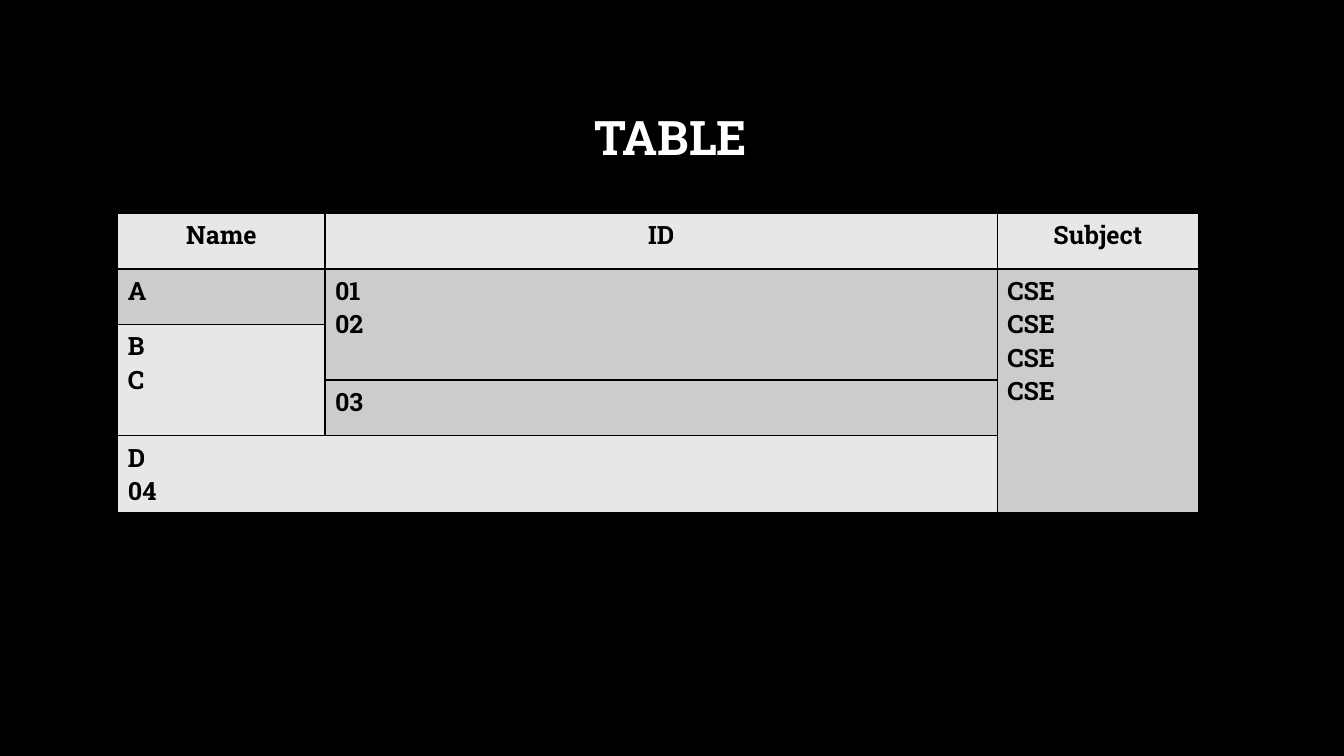
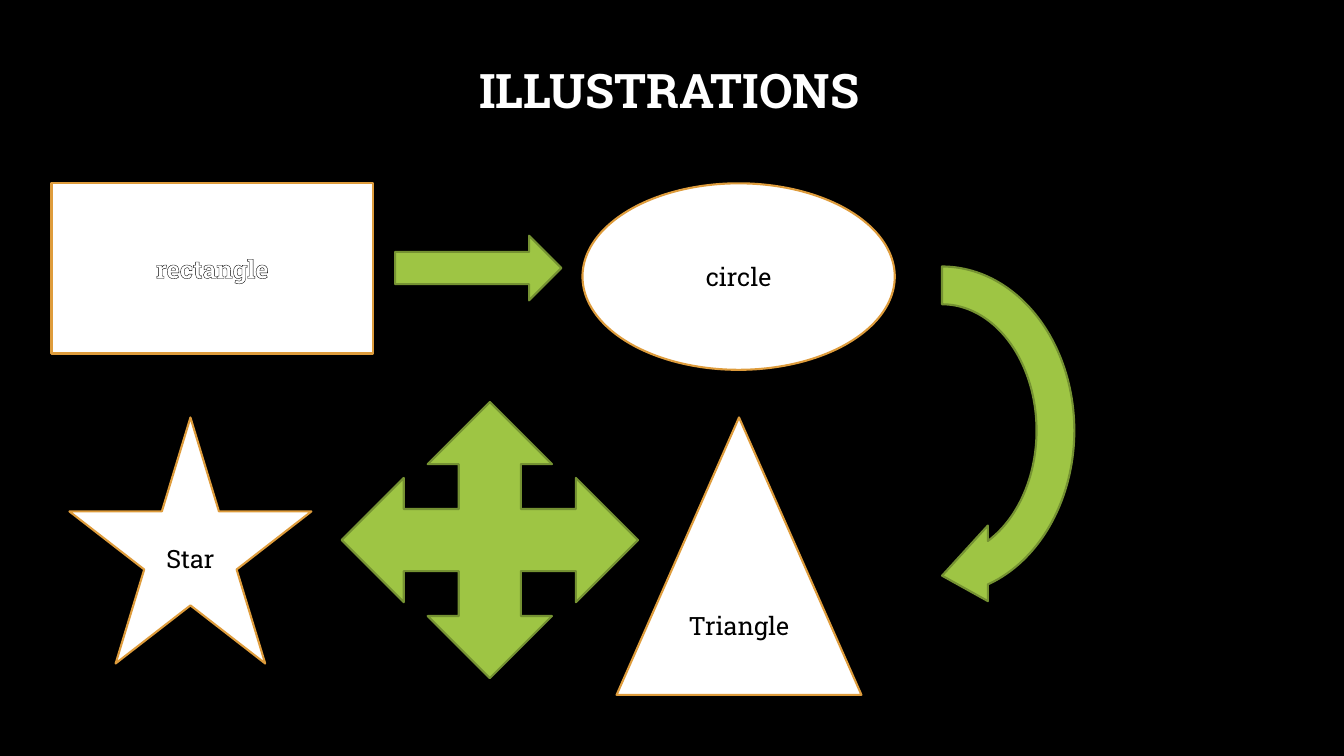
from lxml import etree
from pptx import Presentation
from pptx.dml.color import RGBColor
from pptx.enum import shapes, text
from pptx.oxml import ns
from pptx.util import Cm, Pt

FONT = "Roboto Slab"
BLACK = RGBColor(0x00, 0x00, 0x00)
WHITE = RGBColor(0xFF, 0xFF, 0xFF)
PALE = RGBColor(0xE7, 0xE7, 0xE7)
GREY = RGBColor(0xCC, 0xCC, 0xCC)
GREEN = RGBColor(0x9E, 0xC5, 0x44)
OLIVE = RGBColor(0x75, 0x92, 0x32)
AMBER = RGBColor(0xDE, 0x9C, 0x3C)

KIND = shapes.MSO_SHAPE
CENTER = text.PP_ALIGN.CENTER
MIDDLE = text.MSO_ANCHOR.MIDDLE
NO_STYLE = "{2D5ABB26-0587-4C30-8999-92F81FD0307C}"

WIDTHS = (5.22, 16.94, 5.08)
HEIGHTS = (1.4, 1.4, 1.4, 1.4, 1.94)
# row, column, rows spanned, columns spanned, words, fill
CELLS = (
    (0, 0, 1, 1, "Name", PALE),
    (0, 1, 1, 1, "ID", PALE),
    (0, 2, 1, 1, "Subject", PALE),
    (1, 0, 1, 1, "A", GREY),
    (1, 1, 2, 1, "01\n02", GREY),
    (1, 2, 4, 1, "CSE\nCSE\nCSE\nCSE", GREY),
    (2, 0, 2, 1, "B\nC", PALE),
    (3, 1, 1, 1, "03", GREY),
    (4, 0, 1, 2, "D\n04", PALE),
)

# kind, place within the drawing, words
FIGURES = (
    (KIND.RECTANGLE, (0, 0, 8.1, 4.29), "rectangle"),
    (KIND.RIGHT_ARROW, (8.66, 1.32, 4.19, 1.63), ""),
    (KIND.OVAL, (13.38, 0, 7.87, 4.7), "circle"),
    (KIND.ISOSCELES_TRIANGLE, (14.24, 5.9, 6.17, 6.99), "Triangle"),
    (KIND.CIRCULAR_ARROW, (17.83, 2.42, 9.22, 7.62), ""),
    (KIND.QUAD_ARROW, (7.31, 5.51, 7.47, 6.96), ""),
    (KIND.STAR_5_POINT, (0.45, 5.9, 6.1, 6.2), "Star"),
)


def write(frame, words, size, color, bold=False, align=None):
    frame.text = words
    for para in frame.paragraphs:
        para.alignment = align
        for run in para.runs:
            font = run.font
            font.name, font.size, font.bold = FONT, Pt(size), bold
            font.color.rgb = color


def stroke(parent, tag, color, width, place=None):
    """Add a solid line element to the properties of a cell or run."""
    line = etree.Element(ns.qn(tag), w=str(Pt(width)))
    fill = etree.SubElement(line, ns.qn("a:solidFill"))
    etree.SubElement(fill, ns.qn("a:srgbClr"), val=str(color))
    parent.insert(len(parent) if place is None else place, line)


def add_slide(deck, title, left, top):
    slide = deck.slides.add_slide(deck.slide_layouts[6])
    box = slide.shapes.add_textbox(Cm(left), Cm(top), Cm(28.75), Cm(3.68))
    frame = box.text_frame
    frame.word_wrap = True
    frame.vertical_anchor = MIDDLE
    write(frame, title, 34, WHITE, True, CENTER)
    frame.paragraphs[0].line_spacing = 0.9
    return slide


def add_grid(slide, left, top):
    frame = slide.shapes.add_table(
        len(HEIGHTS), len(WIDTHS), Cm(left), Cm(top),
        Cm(sum(WIDTHS)), Cm(sum(HEIGHTS)))
    table = frame.table
    table.first_row = table.horz_banding = False
    table._tbl.tblPr.find(ns.qn("a:tableStyleId")).text = NO_STYLE
    for col, width in zip(table.columns, WIDTHS):
        col.width = Cm(width)
    for row, height in zip(table.rows, HEIGHTS):
        row.height = Cm(height)
    for row, col, down, across, words, color in CELLS:
        cell = table.cell(row, col)
        if down * across > 1:
            cell.merge(table.cell(row + down - 1, col + across - 1))
        write(cell.text_frame, words, 18, BLACK, True,
              CENTER if row == 0 else None)
        for side in "LRTB":
            stroke(cell._tc.get_or_add_tcPr(), "a:ln" + side, BLACK, 1)
        cell.fill.solid()
        cell.fill.fore_color.rgb = color


def add_figure(slide, kind, box, words):
    """Draw a white labelled figure, or a green arrow if it has no words."""
    shape = slide.shapes.add_shape(kind, *map(Cm, box))
    shape.shadow.inherit = False
    shape.fill.solid()
    shape.fill.fore_color.rgb = WHITE if words else GREEN
    shape.line.color.rgb = AMBER if words else OLIVE
    shape.line.width = Pt(1.5)
    if words:
        shape.text_frame.vertical_anchor = MIDDLE
        write(shape.text_frame, words, 18, BLACK, align=CENTER)
    return shape


def add_drawing(slide, left, top):
    for kind, (x, y, wide, high), words in FIGURES:
        shape = add_figure(slide, kind, (left + x, top + y, wide, high), words)
        if kind == KIND.CIRCULAR_ARROW:
            shape.rotation = 90
        elif kind == KIND.RECTANGLE:
            run = shape.text_frame.paragraphs[0].runs[0]
            run.font.bold = True
            run.font.color.rgb = WHITE
            stroke(run._r.get_or_add_rPr(), "a:ln", BLACK, 0.75, 0)


def main():
    deck = Presentation()
    deck.slide_width, deck.slide_height = Cm(33.87), Cm(19.05)
    back = deck.slide_master.background.fill
    back.solid()
    back.fore_color.rgb = BLACK
    add_grid(add_slide(deck, "TABLE", 2.54, 1.7), 2.97, 5.38)
    add_drawing(add_slide(deck, "ILLUSTRATIONS", 2.49, 0.5), 1.3, 4.62)
    deck.save("out.pptx")


if __name__ == "__main__":
    main()
